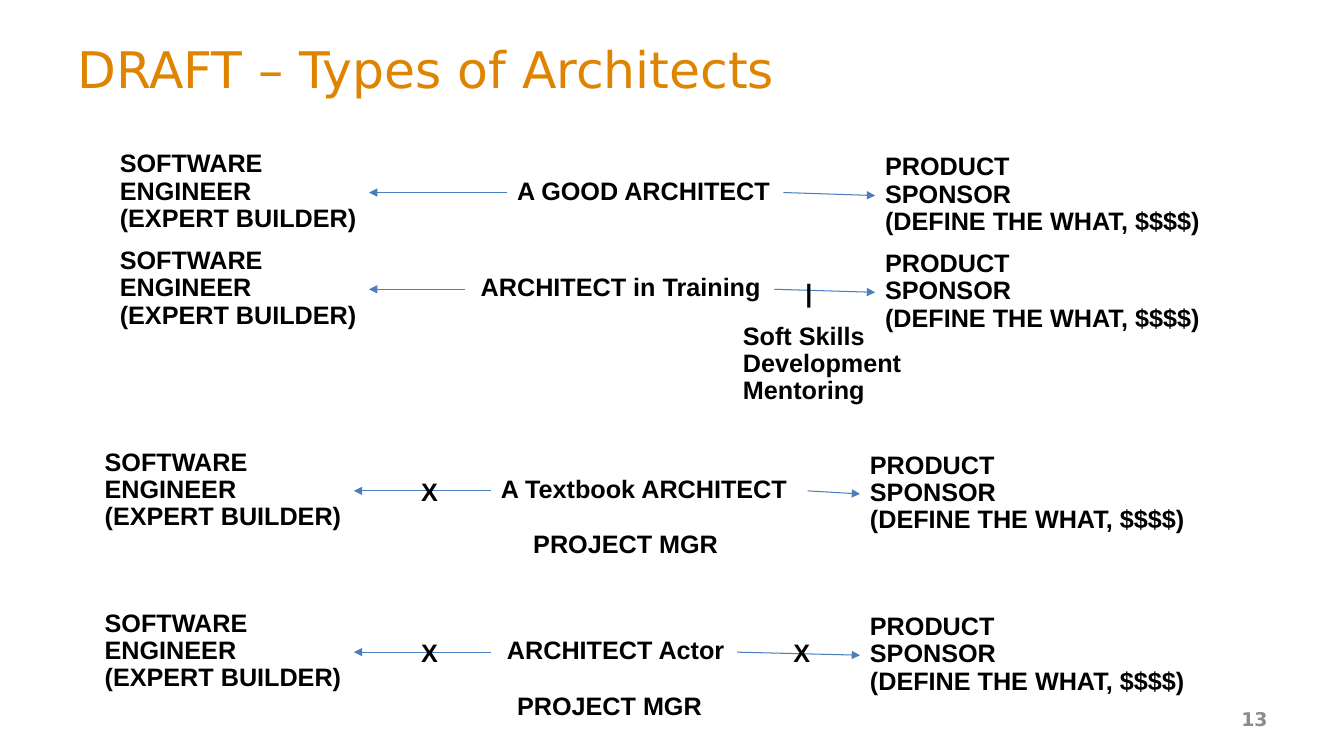
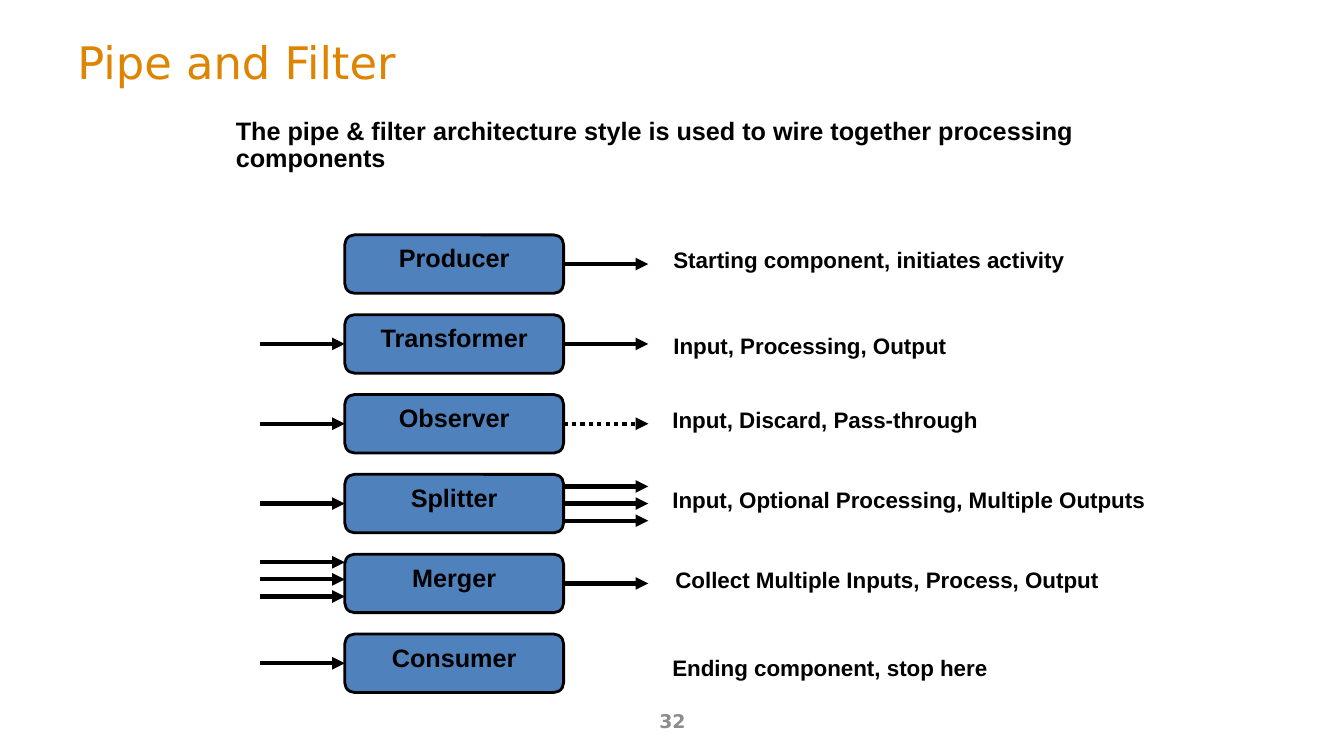
"""Build two architecture slides: types of architects, and pipe and filter."""
from dataclasses import dataclass

from lxml import etree
from pptx import Presentation
from pptx import util as u
from pptx.dml.color import RGBColor
from pptx.enum import dml, shapes, text
from pptx.oxml import ns

ALIGN = text.PP_ALIGN
TOP, MIDDLE = text.MSO_ANCHOR.TOP, text.MSO_ANCHOR.MIDDLE
LEFT_SIDE, RIGHT_SIDE = 1, 3


@dataclass(frozen=True)
class Theme:
    """Colours, fonts and sizes shared by the slides."""
    title: str = "DE8400"
    ink: str = "000000"
    muted: str = "8C8C8C"
    box: str = "4F81BD"
    link: str = "4B7EBC"
    head_font: str = "DejaVu Sans"
    body_font: str = "Arial"
    number_size: float = 13.5
    body_size: float = 18
    note_size: float = 16
    box_line: float = 2
    link_line: float = 0.75
    pipe_line: float = 3
    spacing: float = 0.9


T = Theme()


def set_font(p, size, color, name, bold):
    """Set the font of a whole paragraph."""
    f = p.font
    f.size, f.name, f.bold = u.Pt(size), name, bold
    f.color.rgb = RGBColor.from_string(color)


def add_text(s, box, words, size=T.body_size, color=T.ink, name=T.body_font,
             bold=True, align=ALIGN.LEFT, anchor=TOP, wrap=False,
             spacing=T.spacing, grow=True):
    """Add a text box; each item of words is one paragraph."""
    sp = s.shapes.add_textbox(*map(u.Inches, box))
    tf = sp.text_frame
    tf.word_wrap = wrap
    tf.vertical_anchor = anchor
    if grow:
        tf.auto_size = text.MSO_AUTO_SIZE.SHAPE_TO_FIT_TEXT
    for i, line in enumerate(words):
        p = tf.add_paragraph() if i else tf.paragraphs[0]
        p.text = line
        p.alignment = align
        p.line_spacing = spacing
        set_font(p, size, color, name, bold)
    return sp


def add_arrow(s, start, end, color, width, dash=None):
    """Add a straight arrow between two points."""
    c = s.shapes.add_connector(shapes.MSO_CONNECTOR.STRAIGHT,
                               *map(u.Inches, (*start, *end)))
    c.line.color.rgb = RGBColor.from_string(color)
    c.line.width = u.Pt(width)
    if dash:
        c.line.dash_style = dash
    ln = c.line._get_or_add_ln()
    etree.SubElement(ln, ns.qn("a:tailEnd"), type="triangle")
    etree.SubElement(ln.getparent(), ns.qn("a:effectLst"))
    return c


def add_frame(prs, title, size, anchor, number, number_box, number_align):
    """Add a blank slide with its title and page number."""
    s = prs.slides.add_slide(prs.slide_layouts[6])
    add_text(s, (0.67, 0.3, 12, 0.76), [title], size, T.title, T.head_font,
             False, anchor=anchor, wrap=True, spacing=1, grow=False)
    add_text(s, number_box, [number], T.number_size, T.muted, T.head_font,
             align=number_align, anchor=MIDDLE, wrap=True, spacing=1, grow=False)
    return s


def add_role_row(s, x, y, role, role_dx, role_w, extras):
    """Link a role to the engineer on its left and the sponsor on its right."""
    engineer = add_text(s, (x, y, 2.57, 0.92),
                        ["SOFTWARE\vENGINEER", "(EXPERT BUILDER)"])
    sponsor = add_text(s, (x + 7.59, y + 0.03, 3.35, 0.92),
                       ["PRODUCT\vSPONSOR", "(DEFINE THE WHAT, $$$$)"])
    middle = add_text(s, (x + role_dx, y + 0.27, role_w, 0.38), [role])
    for side, target, target_side in ((LEFT_SIDE, engineer, RIGHT_SIDE),
                                      (RIGHT_SIDE, sponsor, LEFT_SIDE)):
        c = add_arrow(s, (x, y), (x, y), T.link, T.link_line)
        c.begin_connect(middle, side)
        c.end_connect(target, target_side)
    for words, dx, dy, w, h in extras:
        add_text(s, (x + dx, y + dy, w, h), [words])


def add_architects_slide(prs):
    """Add the slide on types of architects."""
    s = add_frame(prs, "DRAFT – Types of Architects", 36, MIDDLE,
                  "13", (9.56, 6.93, 3.11, 0.4), ALIGN.RIGHT)
    left_x = ("X", 3.14, 0.3, 0.37, 0.38)
    rows = [
        (1.09, 1.45, "A GOOD ARCHITECT", 3.94, 2.74, []),
        (1.09, 2.41, " ARCHITECT in Training", 3.52, 3.07,
         [("|", 6.8, 0.33, 0.27, 0.38),
          ("Soft Skills\vDevelopment\vMentoring", 6.18, 0.75, 1.79, 0.92)]),
        (0.94, 4.41, "A Textbook ARCHITECT", 3.93, 3.14,
         [left_x, ("PROJECT MGR", 4.25, 0.82, 2.05, 0.38)]),
        (0.94, 6.01, " ARCHITECT Actor", 3.93, 2.44,
         [left_x, ("X", 6.83, 0.3, 0.37, 0.38),
          ("PROJECT MGR", 4.09, 0.82, 2.05, 0.38)]),
    ]
    for row in rows:
        add_role_row(s, *row)


def add_component(s, box, name, inputs, outputs, dash):
    """Add a component box with arrows at offsets from its middle."""
    x, y, w, h = box
    sp = s.shapes.add_shape(shapes.MSO_SHAPE.ROUNDED_RECTANGLE,
                            *map(u.Inches, box))
    sp.shadow.inherit = False
    sp.fill.solid()
    sp.fill.fore_color.rgb = RGBColor.from_string(T.box)
    sp.line.color.rgb = RGBColor.from_string(T.ink)
    sp.line.width = u.Pt(T.box_line)
    tf = sp.text_frame
    tf.word_wrap = False
    tf.vertical_anchor = TOP
    p = tf.paragraphs[0]
    p.text = name
    p.alignment = ALIGN.CENTER
    set_font(p, T.body_size, T.ink, T.body_font, True)
    length, mid = 0.84, y + h / 2
    for dy in inputs:
        c = add_arrow(s, (x - length, mid + dy), (x, mid + dy),
                      T.ink, T.pipe_line)
        if dy == 0:
            c.end_connect(sp, LEFT_SIDE)
    for dy in outputs:
        c = add_arrow(s, (x + w, mid + dy), (x + w + length, mid + dy),
                      T.ink, T.pipe_line, dash)
        if dy == 0:
            c.begin_connect(sp, RIGHT_SIDE)


def add_pipes_slide(prs):
    """Add the pipe and filter slide."""
    s = add_frame(prs, "Pipe and Filter", 32, TOP,
                  "32", (4.56, 6.95, 4.22, 0.4), ALIGN.CENTER)
    add_text(s, (2.24, 1.13, 9.42, 0.65),
             ["The pipe & filter architecture style is used to wire together "
              "processing components"], wrap=True)
    one, dots = (0,), dml.MSO_LINE.ROUND_DOT
    components = [
        ("Producer", (), one, None,
         "Starting component, initiates activity", 6.58, 0.09),
        ("Transformer", one, one, None,
         "Input, Processing, Output", 6.58, 0.15),
        ("Observer", one, one, dots,
         "Input, Discard, Pass-through", 6.57, 0.1),
        ("Splitter", one, (-0.17, 0, 0.17), None,
         "Input, Optional Processing, Multiple Outputs", 6.57, 0.1),
        ("Merger", (-0.21, -0.04, 0.13), one, None,
         "Collect Multiple Inputs, Process, Output", 6.6, 0.1),
        ("Consumer", one, (), None,
         "Ending component, stop here", 6.57, 0.18),
    ]
    top, bottom = 2.33, 6.29
    pitch = (bottom - top) / (len(components) - 1)
    for i, (name, inputs, outputs, dash, note, note_x, note_dy) in enumerate(components):
        y = top + i * pitch
        add_component(s, (3.42, y, 2.17, 0.58), name, inputs, outputs, dash)
        add_text(s, (note_x, y + note_dy, 4.92, 0.34), [note], T.note_size,
                 wrap=True)


def main():
    """Build and save the presentation."""
    prs = Presentation()
    prs.slide_width, prs.slide_height = u.Inches(13.33), u.Inches(7.5)
    add_architects_slide(prs)
    add_pipes_slide(prs)
    prs.save("out.pptx")


if __name__ == "__main__":
    main()
